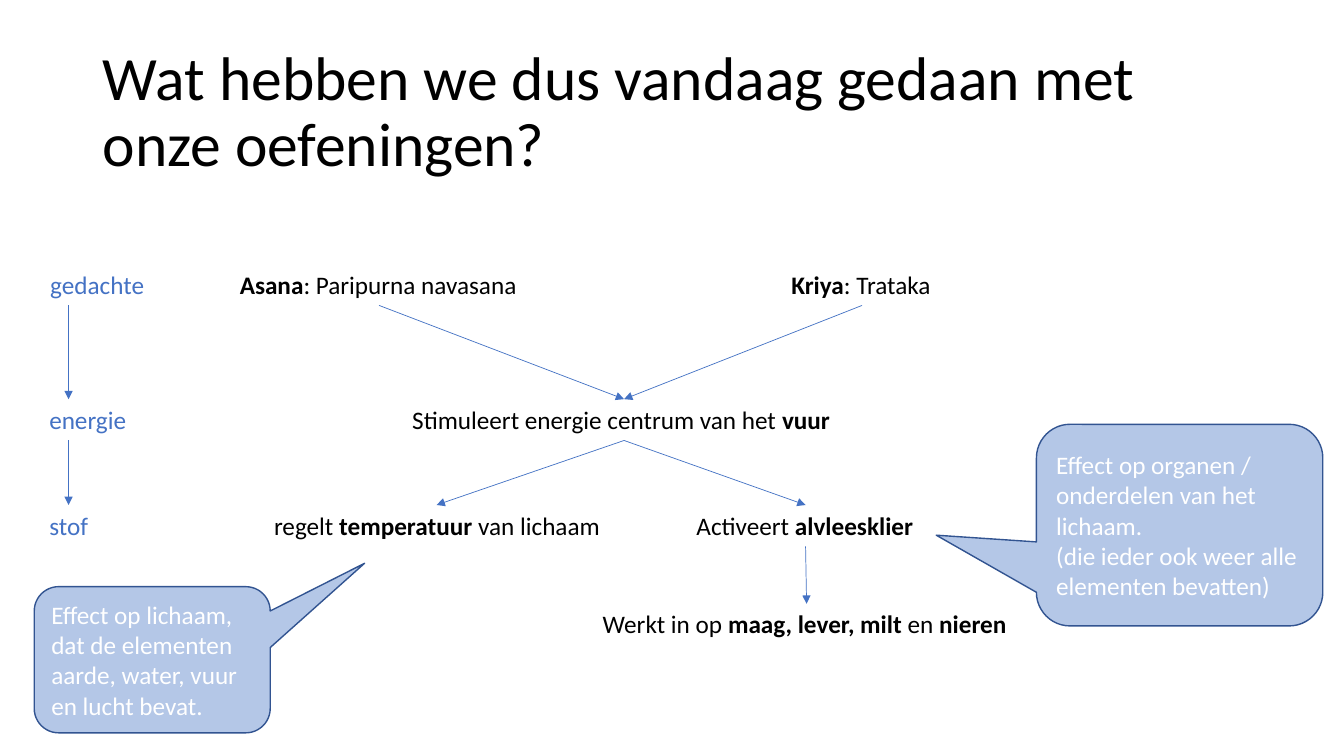
import pptx
import pptx.util
import pptx.dml.color
import pptx.enum.shapes
import pptx.enum.text
import pptx.oxml
import pptx.oxml.ns
import lxml.etree

Inches = pptx.util.Inches
Pt = pptx.util.Pt
BLACK, BLUE, WHITE = "000000", "4472C4", "FFFFFF"
PALE, NAVY = "B4C7E7", "325491"
ROWS = [2.62, 3.96, 5.01, 5.99]
ROW_H = 0.4


def rgb(value):
    return pptx.dml.color.RGBColor.from_string(value)


class Slide:
    font = "Calibri"
    size = 18

    def __init__(self, prs):
        self.s = prs.slides.add_slide(prs.slide_layouts[5])

    def style(self, p, color, size=None):
        p.alignment = pptx.enum.text.PP_ALIGN.LEFT
        p.font.name = self.font
        p.font.size = Pt(size or self.size)
        p.font.color.rgb = rgb(color)

    def title(self, text, x, y, w, h):
        sp = self.s.shapes.title
        sp.left, sp.top, sp.width, sp.height = map(Inches, (x, y, w, h))
        tf = sp.text_frame
        tf.text = text
        tf.word_wrap = True
        tf.vertical_anchor = pptx.enum.text.MSO_ANCHOR.MIDDLE
        p = tf.paragraphs[0]
        p.line_spacing = 0.9
        self.style(p, BLACK, 44)

    def label(self, text, x, row, w, color=BLACK):
        sp = self.s.shapes.add_textbox(Inches(x), Inches(ROWS[row]), Inches(w), Inches(ROW_H))
        tf = sp.text_frame
        tf.word_wrap = False
        tf.auto_size = pptx.enum.text.MSO_AUTO_SIZE.SHAPE_TO_FIT_TEXT
        p = tf.paragraphs[0]
        self.style(p, color)
        for i, part in enumerate(text.split("**")):
            if part:
                r = p.add_run()
                r.text = part
                if i % 2:
                    r.font.bold = True

    def arrow(self, x1, x2, row):
        y1, y2 = ROWS[row] + ROW_H + 0.01, ROWS[row + 1]
        cn = self.s.shapes.add_connector(
            pptx.enum.shapes.MSO_CONNECTOR.STRAIGHT, Inches(x1), Inches(y1), Inches(x2), Inches(y2))
        cn.line.color.rgb = rgb(BLUE)
        cn.line.width = Pt(0.5)
        qn = pptx.oxml.ns.qn
        lxml.etree.SubElement(cn.line._get_or_add_ln(), qn("a:tailEnd"), type="triangle")
        lxml.etree.SubElement(cn._element.spPr, qn("a:effectLst"))

    def callout(self, lines, x, y, w, h, tip):
        sp = self.s.shapes.add_shape(
            pptx.enum.shapes.MSO_SHAPE.ROUNDED_RECTANGULAR_CALLOUT,
            Inches(x), Inches(y), Inches(w), Inches(h))
        sp.shadow.inherit = False
        sp.adjustments[0], sp.adjustments[1] = tip
        sp.fill.solid()
        sp.fill.fore_color.rgb = rgb(PALE)
        sp.line.color.rgb = rgb(NAVY)
        sp.line.width = Pt(1)
        tf = sp.text_frame
        tf.word_wrap = True
        tf.vertical_anchor = pptx.enum.text.MSO_ANCHOR.MIDDLE
        tf.text = "\n".join(lines)
        for p in tf.paragraphs:
            self.style(p, WHITE)


def main():
    prs = pptx.Presentation()
    prs.slide_width, prs.slide_height = Inches(13.33), Inches(7.5)
    s = Slide(prs)
    s.title("Wat hebben we dus vandaag gedaan met onze oefeningen?", 0.92, 0.4, 11.5, 1.45)

    for text, x, row, w in [
        ("**Asana**: Paripurna navasana", 2.28, 0, 2.96),
        ("**Kriya**: Trataka", 7.75, 0, 1.6),
        ("Stimuleert energie centrum van het **vuur**", 3.99, 1, 4.38),
        ("regelt **temperatuur** van lichaam", 2.62, 2, 3.47),
        ("Activeert **alvleesklier**", 6.81, 2, 2.37),
        ("Werkt in op **maag, lever, milt **en** nieren**", 5.88, 3, 4.24),
    ]:
        s.label(text, x, row, w)

    for row, (text, x, w) in enumerate([
        ("gedachte", 0.4, 1.14), ("energie", 0.39, 0.98), ("stof", 0.39, 0.59),
    ]):
        s.label(text, x, row, w, BLUE)

    for x1, x2, row in [
        (3.76, 6.19, 0), (8.55, 6.19, 0), (6.19, 4.33, 1), (6.19, 7.99, 1),
        (7.99, 8, 2), (0.68, 0.68, 0), (0.68, 0.68, 1),
    ]:
        s.arrow(x1, x2, row)

    s.callout(["Effect op lichaam, dat de elementen aarde, water, vuur en lucht bevat."],
              0.34, 5.82, 2.34, 1.45, (0.9, -0.66))
    s.callout(["Effect op organen / onderdelen van het lichaam.",
               "(die ieder ook weer alle elementen bevatten)"],
              10.28, 4.21, 2.84, 2, (-0.85, 0.05))
    prs.save("out.pptx")


if __name__ == "__main__":
    main()
